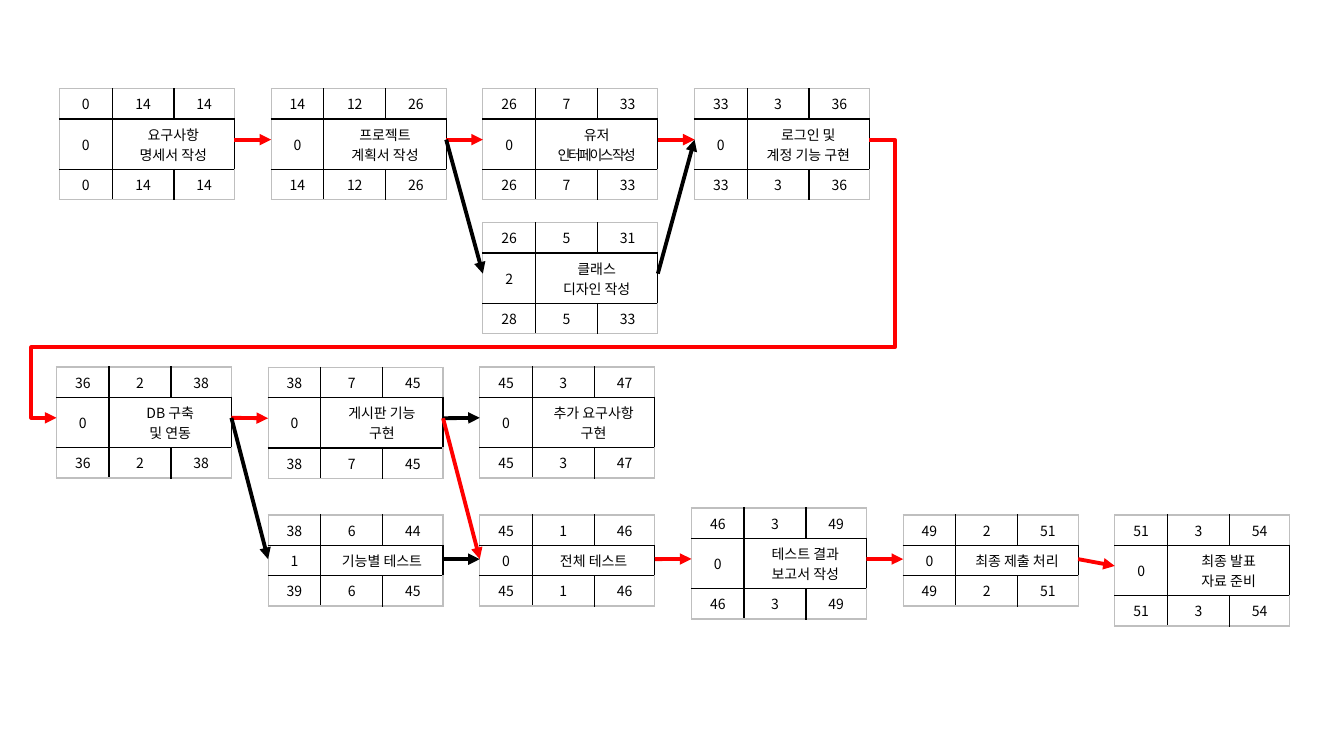
from pptx import Presentation
from pptx.dml.color import RGBColor
from pptx.enum.shapes import MSO_CONNECTOR
from pptx.enum.text import MSO_ANCHOR, PP_ALIGN
from pptx.oxml.ns import qn
from pptx.util import Pt
from lxml import etree

FONT = "Noto Sans CJK KR"
BLACK, RED, GRAY = "000000", "FF0000", "BFBFBF"
COLUMN_WIDTHS = (37.6, 44.2, 43.2)
ROW_HEIGHT, EXTRA_LINE = 21, 9.7
PITCH = 151.2
UPPER_LEFT, LOWER_LEFT = 42.5, 40.3

# key: (label, left margin, column, top, early start, duration, early finish,
#       slack, late start, late finish)
TASKS = {
    "requirements": ("요구사항\n명세서 작성", UPPER_LEFT, 0, 63.4, 0, 14, 14, 0, 0, 14),
    "plan": ("프로젝트\n계획서 작성", UPPER_LEFT, 1, 63.4, 14, 12, 26, 0, 14, 26),
    "interface": ("유저\n인터페이스 작성", UPPER_LEFT, 2, 63.4, 26, 7, 33, 0, 26, 33),
    "login": ("로그인 및\n계정 기능 구현", UPPER_LEFT, 3, 63.4, 33, 3, 36, 0, 33, 36),
    "classes": ("클래스\n디자인 작성", UPPER_LEFT, 2, 159.1, 26, 5, 31, 2, 28, 33),
    "database": ("DB 구축\n및 연동", LOWER_LEFT, 0, 262.1, 36, 2, 38, 0, 36, 38),
    "board": ("게시판 기능\n구현", LOWER_LEFT, 1, 262.4, 38, 7, 45, 0, 38, 45),
    "extras": ("추가 요구사항\n구현", LOWER_LEFT, 2, 262.1, 45, 3, 47, 0, 45, 47),
    "unit test": ("기능별 테스트", LOWER_LEFT, 1, 367.9, 38, 6, 44, 1, 39, 45),
    "full test": ("전체 테스트", LOWER_LEFT, 2, 367.9, 45, 1, 46, 0, 45, 46),
    "report": ("테스트 결과\n보고서 작성", LOWER_LEFT, 3, 362.9, 46, 3, 49, 0, 46, 49),
    "submission": ("최종 제출 처리", LOWER_LEFT, 4, 367.9, 49, 2, 51, 0, 49, 51),
    "presentation": ("최종 발표\n자료 준비", LOWER_LEFT, 5, 367.9, 51, 3, 54, 0, 51, 54),
}

ARROWS = [
    ("requirements", "plan", RED),
    ("plan", "interface", RED),
    ("plan", "classes", BLACK),
    ("interface", "login", RED),
    ("classes", "login", BLACK),
    ("full test", "report", RED),
    ("report", "submission", RED),
    ("submission", "presentation", RED),
    ("database", "board", RED),
    ("database", "unit test", BLACK),
    ("board", "extras", BLACK),
    ("board", "full test", RED),
    ("unit test", "full test", BLACK),
]


def color(value):
    return RGBColor.from_string(value)


def set_border(cell, side, value):
    line = etree.SubElement(cell._tc.get_or_add_tcPr(), qn("a:ln" + side), w=str(Pt(1)))
    fill = etree.SubElement(line, qn("a:solidFill"))
    etree.SubElement(fill, qn("a:srgbClr"), val=value)


def style_cell(cell, row, column):
    # Grey frame outside, black grid inside
    outer = {"L": column == 0, "R": column == 2, "T": row == 0, "B": row == 2}
    for side, is_outer in outer.items():
        set_border(cell, side, GRAY if is_outer else BLACK)
    cell.fill.background()
    cell.vertical_anchor = MSO_ANCHOR.MIDDLE
    for para in cell.text_frame.paragraphs:
        para.alignment = PP_ALIGN.CENTER
        for span in para.runs:
            span.font.size = Pt(10)
            span.font.name = FONT
            span.font.color.rgb = color(BLACK)
            etree.SubElement(span.font._element, qn("a:ea"), typeface=FONT)


def add_task(page, task):
    label, margin, place, top, start, duration, finish, slack, late_start, late_finish = task
    height = 3 * ROW_HEIGHT + EXTRA_LINE * label.count("\n")
    box = page.shapes.add_table(3, 3, Pt(margin + place * PITCH), Pt(top),
                                Pt(sum(COLUMN_WIDTHS)), Pt(height))
    table = box.table
    table.first_row = table.horz_banding = False
    for column, width in zip(table.columns, COLUMN_WIDTHS):
        column.width = Pt(width)
    for row in table.rows:
        row.height = Pt(ROW_HEIGHT)
    box.height = Pt(height)

    table.cell(1, 1).merge(table.cell(1, 2))
    rows = [(start, duration, finish), (slack, label, ""),
            (late_start, duration, late_finish)]
    for row, values in enumerate(rows):
        for column, value in enumerate(values):
            cell = table.cell(row, column)
            cell.text_frame.text = str(value)
            style_cell(cell, row, column)
    return box


def add_arrow(page, source, target, value, kind=MSO_CONNECTOR.STRAIGHT):
    arrow = page.shapes.add_connector(
        kind, source.left + source.width, source.top + source.height // 2,
        target.left, target.top + target.height // 2)
    arrow.line.color.rgb = color(value)
    arrow.line.width = Pt(2.75)
    etree.SubElement(arrow.line._get_or_add_ln(), qn("a:tailEnd"), type="triangle")
    etree.SubElement(arrow._element.spPr, qn("a:effectLst"))
    return arrow


def route_around(arrow, *adjustments):
    geometry = arrow._element.spPr.find(qn("a:prstGeom"))
    geometry.set("prst", "bentConnector5")
    guides = geometry.find(qn("a:avLst"))
    if guides is None:
        guides = etree.SubElement(geometry, qn("a:avLst"))
    for number, amount in enumerate(adjustments, 1):
        etree.SubElement(guides, qn("a:gd"), name=f"adj{number}", fmla=f"val {amount}")


def main():
    deck = Presentation()
    deck.slide_width, deck.slide_height = Pt(960), Pt(540)
    page = deck.slides.add_slide(deck.slide_layouts[6])

    # Task tables
    boxes = {key: add_task(page, task) for key, task in TASKS.items()}

    # Tightened second line of the interface task
    label = boxes["interface"].table.cell(1, 1).text_frame
    label.paragraphs[1].runs[0].font._element.set("spc", "-150")

    # Dependencies
    for source, target, value in ARROWS:
        add_arrow(page, boxes[source], boxes[target], value)
    wrap = add_arrow(page, boxes["login"], boxes["database"], RED, MSO_CONNECTOR.ELBOW)
    route_around(wrap, -3100, 74700, 103100)

    deck.save("out.pptx")


main()
